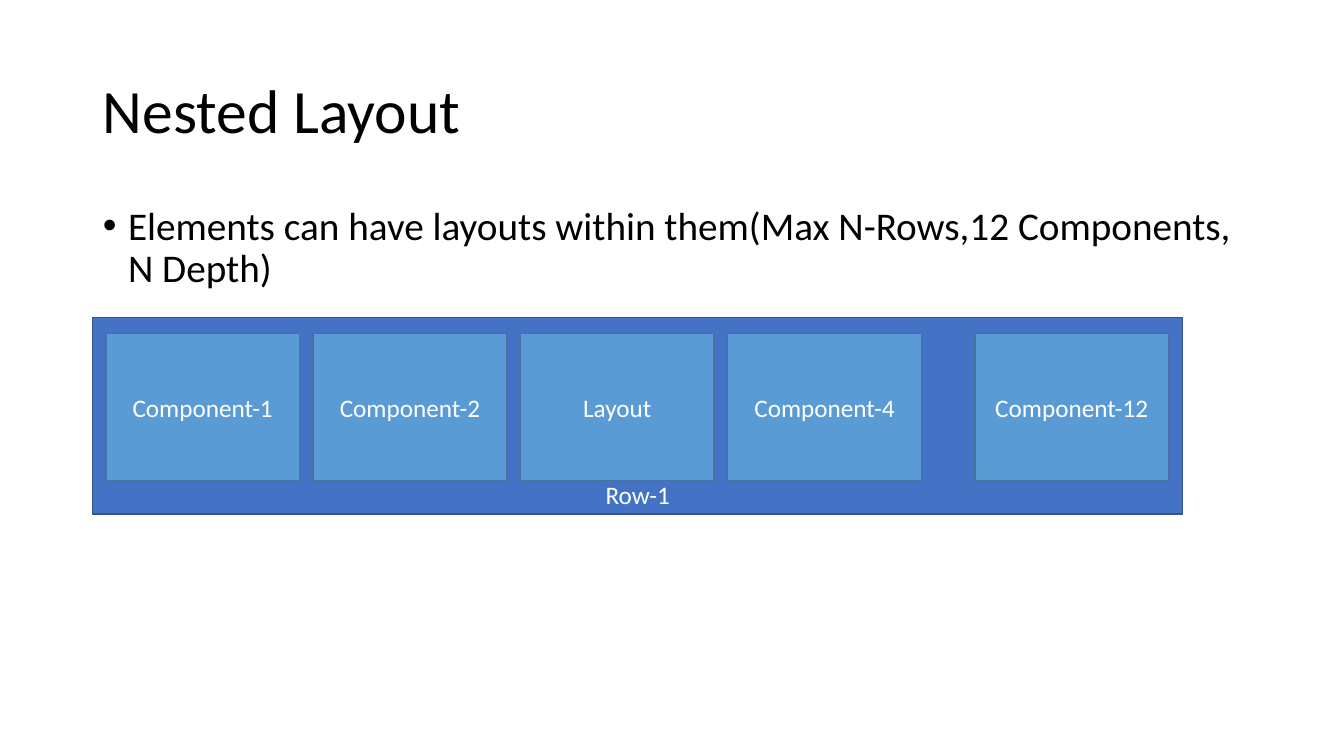
from dataclasses import dataclass

from lxml.etree import SubElement
from pptx import Presentation
from pptx.dml.color import RGBColor
from pptx.enum.shapes import MSO_SHAPE
from pptx.enum.text import MSO_ANCHOR, MSO_AUTO_SIZE, PP_ALIGN
from pptx.oxml.ns import qn
from pptx.util import Inches, Pt


@dataclass(frozen=True)
class Theme:
    font: str = "Calibri"
    ink: str = "000000"
    label: str = "FFFFFF"
    row_fill: str = "4472C4"
    row_line: str = "325491"
    cell_fill: str = "5B9BD5"
    cell_line: str = "43739E"
    title_size: int = 44
    body_size: int = 28
    label_size: int = 18


THEME = Theme()


def write(shape, text, size, color, align, anchor):
    """Put one formatted run into the shape and return its paragraph."""
    frame = shape.text_frame
    frame.word_wrap = True
    frame.auto_size = MSO_AUTO_SIZE.NONE
    frame.vertical_anchor = anchor
    paragraph = frame.paragraphs[0]
    paragraph.alignment = align
    run = paragraph.add_run()
    run.text = text
    run.font.name = THEME.font
    run.font.size = Pt(size)
    run.font.color.rgb = RGBColor.from_string(color)
    return paragraph


def add_block(box, text, fill, line, anchor):
    block = slide.shapes.add_shape(MSO_SHAPE.RECTANGLE, *map(Inches, box))
    block.shadow.inherit = False
    block.fill.solid()
    block.fill.fore_color.rgb = RGBColor.from_string(fill)
    block.line.color.rgb = RGBColor.from_string(line)
    block.line.width = Pt(1)
    write(block, text, THEME.label_size, THEME.label, PP_ALIGN.CENTER, anchor)


prs = Presentation()
prs.slide_width, prs.slide_height = Inches(13.33), Inches(7.5)
slide = prs.slides.add_slide(prs.slide_layouts[1])

# Title and bullet
title, body = slide.placeholders
title.left, title.top, title.width, title.height = map(Inches, (0.92, 0.4, 11.5, 1.45))
heading = write(title, "Nested Layout", THEME.title_size, THEME.ink,
                PP_ALIGN.LEFT, MSO_ANCHOR.MIDDLE)
heading.line_spacing = 0.9

body.left, body.top, body.width, body.height = map(Inches, (0.92, 2, 11.5, 1))
bullet = write(body, "Elements can have layouts within them(Max N-Rows,12 Components, N Depth)",
               THEME.body_size, THEME.ink, PP_ALIGN.LEFT, MSO_ANCHOR.TOP)
bullet.line_spacing = 0.9
bullet.space_before = Pt(10)
bullet_format = bullet._p.get_or_add_pPr()
bullet_format.set("marL", str(Inches(0.25)))
bullet_format.set("indent", str(Inches(-0.25)))
SubElement(bullet_format, qn("a:buFont"), typeface="Arial")
SubElement(bullet_format, qn("a:buChar"), char="•")

# Row with its components; the last one stands apart after a gap
add_block((0.92, 3.15, 10.81, 1.95), "Row-1", THEME.row_fill, THEME.row_line,
          MSO_ANCHOR.BOTTOM)

first_left, pitch, last_left = 1.05, 2.056, 9.67
components = [(first_left + pitch * i, label) for i, label in
              enumerate(("Component-1", "Component-2", "Layout", "Component-4"))]
components.append((last_left, "Component-12"))
for left, label in components:
    add_block((left, 3.31, 1.92, 1.46), label, THEME.cell_fill, THEME.cell_line,
              MSO_ANCHOR.MIDDLE)

prs.save("out.pptx")
